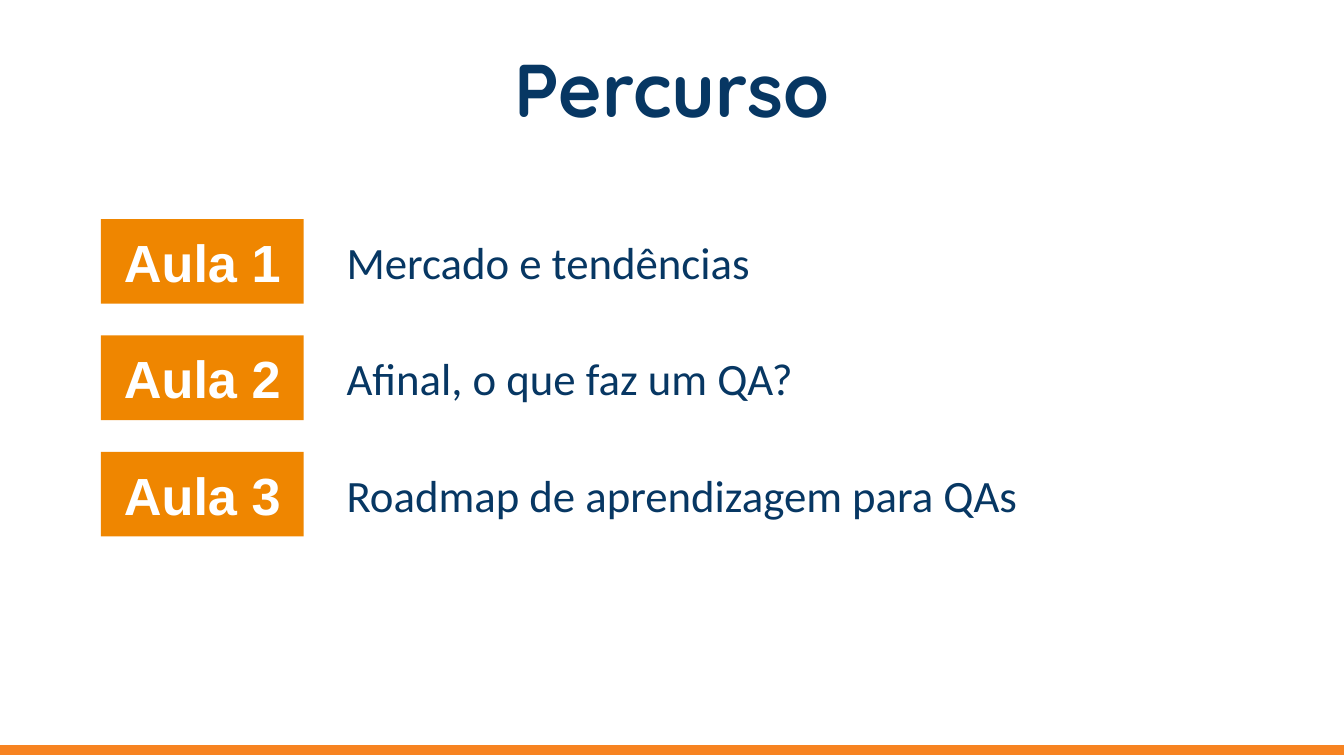
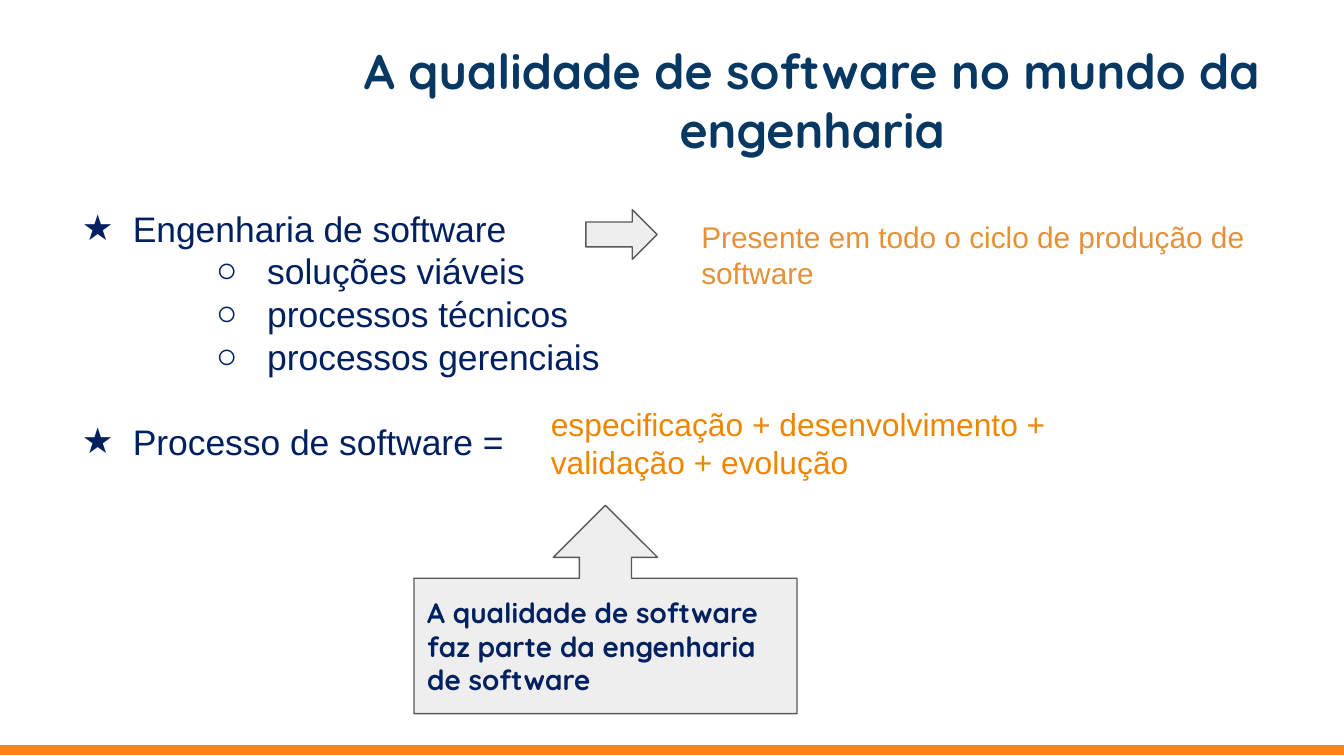
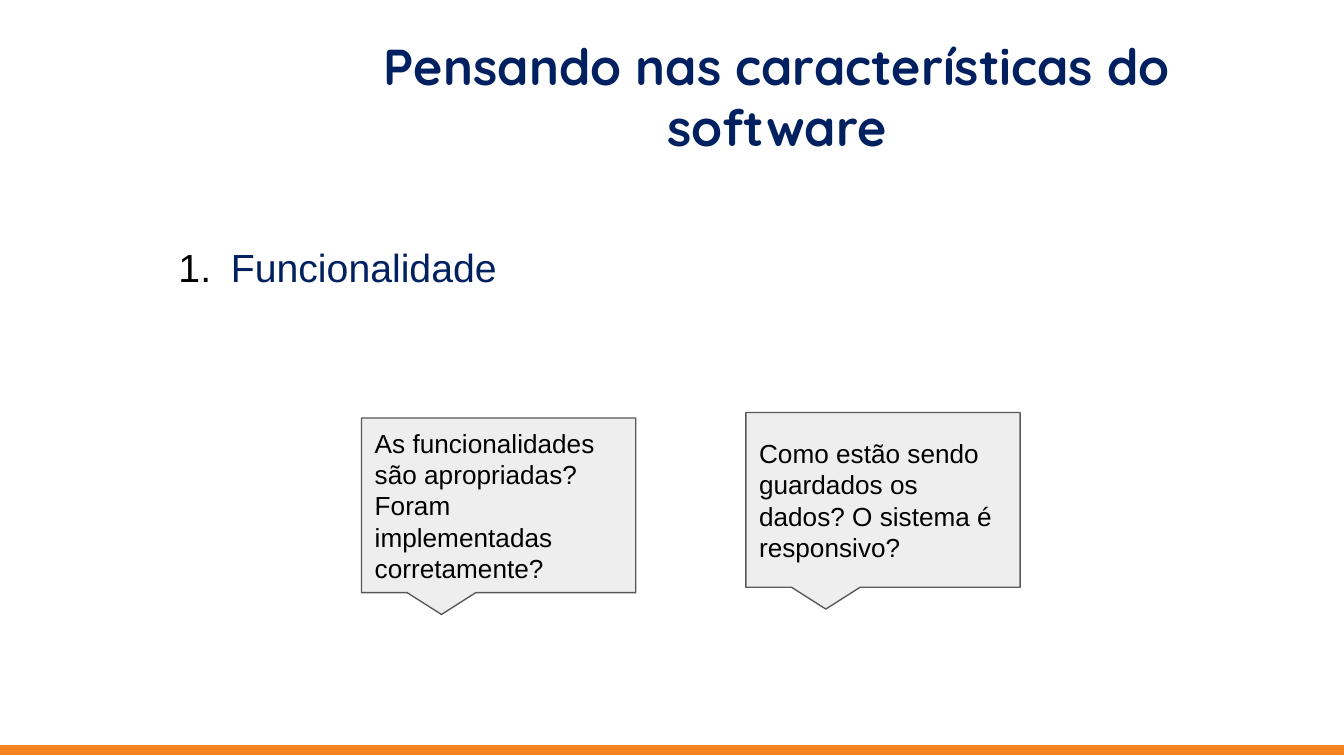
from dataclasses import dataclass
from typing import NamedTuple

from lxml import etree
from pptx import Presentation
from pptx.dml.color import RGBColor
from pptx.enum.shapes import MSO_SHAPE
from pptx.enum.text import MSO_ANCHOR, PP_ALIGN
from pptx.oxml.ns import qn
from pptx.util import Inches, Pt

SLIDE_WIDTH, SLIDE_HEIGHT = Inches(10), Inches(5.625)
COLUMN, ROW = SLIDE_WIDTH / 100, SLIDE_HEIGHT / 100

NAVY = RGBColor(0x07, 0x37, 0x63)
DEEP_BLUE = RGBColor(0x00, 0x20, 0x60)
ORANGE = RGBColor(0xEF, 0x86, 0x00)
SOFT_ORANGE = RGBColor(0xE6, 0x91, 0x38)
BAND_ORANGE = RGBColor(0xF7, 0x83, 0x21)
PALE_GRAY = RGBColor(0xEE, 0xEE, 0xEE)
DARK_GRAY = RGBColor(0x59, 0x59, 0x59)
WHITE = RGBColor(0xFF, 0xFF, 0xFF)
BLACK = RGBColor(0x00, 0x00, 0x00)

BODY_FONT, TITLE_FONT, TOPIC_FONT = "Arial", "Quicksand", "Calibri"
LINE_HEIGHT = 1.2
INSET = Inches(0.1)

LEFT, CENTER = PP_ALIGN.LEFT, PP_ALIGN.CENTER
TOP, MIDDLE = MSO_ANCHOR.TOP, MSO_ANCHOR.MIDDLE
RECTANGLE = MSO_SHAPE.RECTANGLE
RIGHT_ARROW = MSO_SHAPE.RIGHT_ARROW
UP_ARROW_CALLOUT = MSO_SHAPE.UP_ARROW_CALLOUT
SPEECH_CALLOUT = MSO_SHAPE.RECTANGULAR_CALLOUT


class Area(NamedTuple):
    """A place on the slide, in columns and rows of a 100 by 100 grid."""
    column: float
    row: float
    columns: float
    rows: float

    def lengths(self) -> tuple[int, int, int, int]:
        return (round(self.column * COLUMN), round(self.row * ROW),
                round(self.columns * COLUMN), round(self.rows * ROW))


@dataclass(frozen=True)
class Bullet:
    tag: str
    attribute: str
    value: str
    color: RGBColor
    margin: float
    hanging: float
    level: int = 0


class ListItem(NamedTuple):
    text: str
    bullet: Bullet
    lines_before: int = 0


class Lesson(NamedTuple):
    label: str
    topic: str


class Question(NamedTuple):
    text: str
    column: float
    row: float


STAR = Bullet("a:buChar", "char", "★", DEEP_BLUE, 0.5, 0.38)
CIRCLE = Bullet("a:buChar", "char", "○", DEEP_BLUE, 1.5, 0.38, level=1)
NUMBER = Bullet("a:buAutoNum", "type", "arabicPeriod", BLACK, 0.5, 0.39)

LESSONS = [
    Lesson("Aula 1", "Mercado e tendências"),
    Lesson("Aula 2", "Afinal, o que faz um QA?"),
    Lesson("Aula 3", "Roadmap de aprendizagem para QAs"),
]
ENGINEERING_ITEMS = [
    ListItem("Engenharia de software", STAR),
    ListItem("soluções viáveis", CIRCLE),
    ListItem("processos técnicos", CIRCLE),
    ListItem("processos gerenciais", CIRCLE),
    ListItem("Processo de software =", STAR, lines_before=1),
]
QUESTIONS = [
    Question("As funcionalidades são apropriadas? Foram implementadas corretamente?",
             26.9, 55.29),
    Question("Como estão sendo guardados os dados? O sistema é responsivo?",
             55.5, 54.58),
]


def write(paragraph, text: str, *, size: float, color: RGBColor, font: str = BODY_FONT,
          bold: bool = False, align=LEFT) -> None:
    paragraph.alignment = align
    paragraph.line_spacing = Pt(size * LINE_HEIGHT)
    run = paragraph.add_run()
    run.text = text
    run.font.name, run.font.size, run.font.bold = font, Pt(size), bold
    run.font.color.rgb = color


def prepare_frame(shape, anchor=TOP):
    """Set wrapping, insets and anchor, and return the first paragraph."""
    frame = shape.text_frame
    frame.word_wrap = True
    frame.margin_left = frame.margin_right = INSET
    frame.margin_top = frame.margin_bottom = INSET
    frame.vertical_anchor = anchor
    return frame.paragraphs[0]


def add_text(slide, area: Area, text: str, *, anchor=TOP, **text_format) -> None:
    box = slide.shapes.add_textbox(*area.lengths())
    write(prepare_frame(box, anchor), text, **text_format)


def add_block(slide, kind, area: Area, fill: RGBColor, line: RGBColor | None = None,
              text: str = "", **text_format) -> None:
    """Add a flat preset shape with an optional outline and text."""
    block = slide.shapes.add_shape(kind, *area.lengths())
    block.shadow.inherit = False
    block.fill.solid()
    block.fill.fore_color.rgb = fill
    if line is None:
        block.line.fill.background()
    else:
        block.line.color.rgb = line
        block.line.width = Pt(0.75)
    if text:
        write(prepare_frame(block, MIDDLE), text, **text_format)


def apply_bullet(paragraph, bullet: Bullet) -> None:
    paragraph.level = bullet.level
    properties = paragraph._p.get_or_add_pPr()
    properties.set("marL", str(Inches(bullet.margin)))
    properties.set("indent", str(-Inches(bullet.hanging)))
    color = etree.SubElement(properties, qn("a:buClr"))
    etree.SubElement(color, qn("a:srgbClr"), val=str(bullet.color))
    etree.SubElement(properties, qn("a:buFont"), typeface=BODY_FONT)
    etree.SubElement(properties, qn(bullet.tag)).set(bullet.attribute, bullet.value)


def add_list(slide, area: Area, items: list[ListItem], size: float) -> None:
    box = slide.shapes.add_textbox(*area.lengths())
    first = prepare_frame(box)
    for index, item in enumerate(items):
        paragraph = box.text_frame.add_paragraph() if index else first
        write(paragraph, item.text, size=size, color=DEEP_BLUE)
        paragraph.space_before = Pt(item.lines_before * size * LINE_HEIGHT)
        apply_bullet(paragraph, item.bullet)


def add_titled_slide(deck, title: str, area: Area, size: float, color: RGBColor):
    """Add a blank slide with the shared title style and bottom band."""
    slide = deck.slides.add_slide(deck.slide_layouts[6])
    slide.background.fill.solid()
    slide.background.fill.fore_color.rgb = WHITE
    add_text(slide, area, title, anchor=MIDDLE, size=size, color=color,
             font=TITLE_FONT, bold=True, align=CENTER)
    add_block(slide, RECTANGLE, Area(0, 98.7, 100, 1.1), BAND_ORANGE, BAND_ORANGE)
    return slide


def build_course_path(deck) -> None:
    slide = add_titled_slide(deck, "Percurso", Area(3.4, 5.87, 93.2, 11.56), 40, NAVY)
    first_row, pitch, label_rows = 28.98, 15.4, 11.2
    for index, lesson in enumerate(LESSONS):
        row = first_row + index * pitch
        add_block(slide, RECTANGLE, Area(7.5, row, 15.1, label_rows), ORANGE,
                  text=lesson.label, size=28, color=WHITE, bold=True, align=CENTER)
        add_text(slide, Area(24.8, row, 70.1, label_rows), lesson.topic,
                 anchor=MIDDLE, size=24, color=NAVY, font=TOPIC_FONT)


def build_engineering(deck) -> None:
    slide = add_titled_slide(deck, "A qualidade de software no mundo da engenharia",
                             Area(24.3, 5.87, 72.3, 14.58), 26, NAVY)
    add_list(slide, Area(3.9, 25.6, 92.7, 59.2), ENGINEERING_ITEMS, 19)
    add_block(slide, RIGHT_ARROW, Area(43.6, 27.73, 5.3, 6.58), PALE_GRAY, DARK_GRAY)
    add_text(slide, Area(51.2, 27.2, 46.6, 13.16),
             "Presente em todo o ciclo de produção de software",
             size=16, color=SOFT_ORANGE)
    add_text(slide, Area(40, 51.73, 41.7, 13.69),
             "especificação + desenvolvimento + validação + evolução",
             size=17, color=ORANGE)
    add_block(slide, UP_ARROW_CALLOUT, Area(30.8, 66.84, 28.5, 27.56),
              PALE_GRAY, DARK_GRAY,
              "A qualidade de software faz parte da engenharia de software",
              size=15, color=DEEP_BLUE, font=TITLE_FONT, bold=True)


def build_characteristics(deck) -> None:
    slide = add_titled_slide(deck, "Pensando nas características do software",
                             Area(22.9, 2.84, 69.8, 19.73), 27, DEEP_BLUE)
    add_list(slide, Area(11.2, 30.4, 82, 21.87), [ListItem("Funcionalidade", NUMBER)], 21)
    for question in QUESTIONS:
        add_block(slide, SPEECH_CALLOUT, Area(question.column, question.row, 20.4, 23.11),
                  PALE_GRAY, DARK_GRAY, question.text, size=14, color=BLACK)


def main() -> None:
    deck = Presentation()
    deck.slide_width, deck.slide_height = SLIDE_WIDTH, SLIDE_HEIGHT
    build_course_path(deck)
    build_engineering(deck)
    build_characteristics(deck)
    deck.save("out.pptx")


if __name__ == "__main__":
    main()
